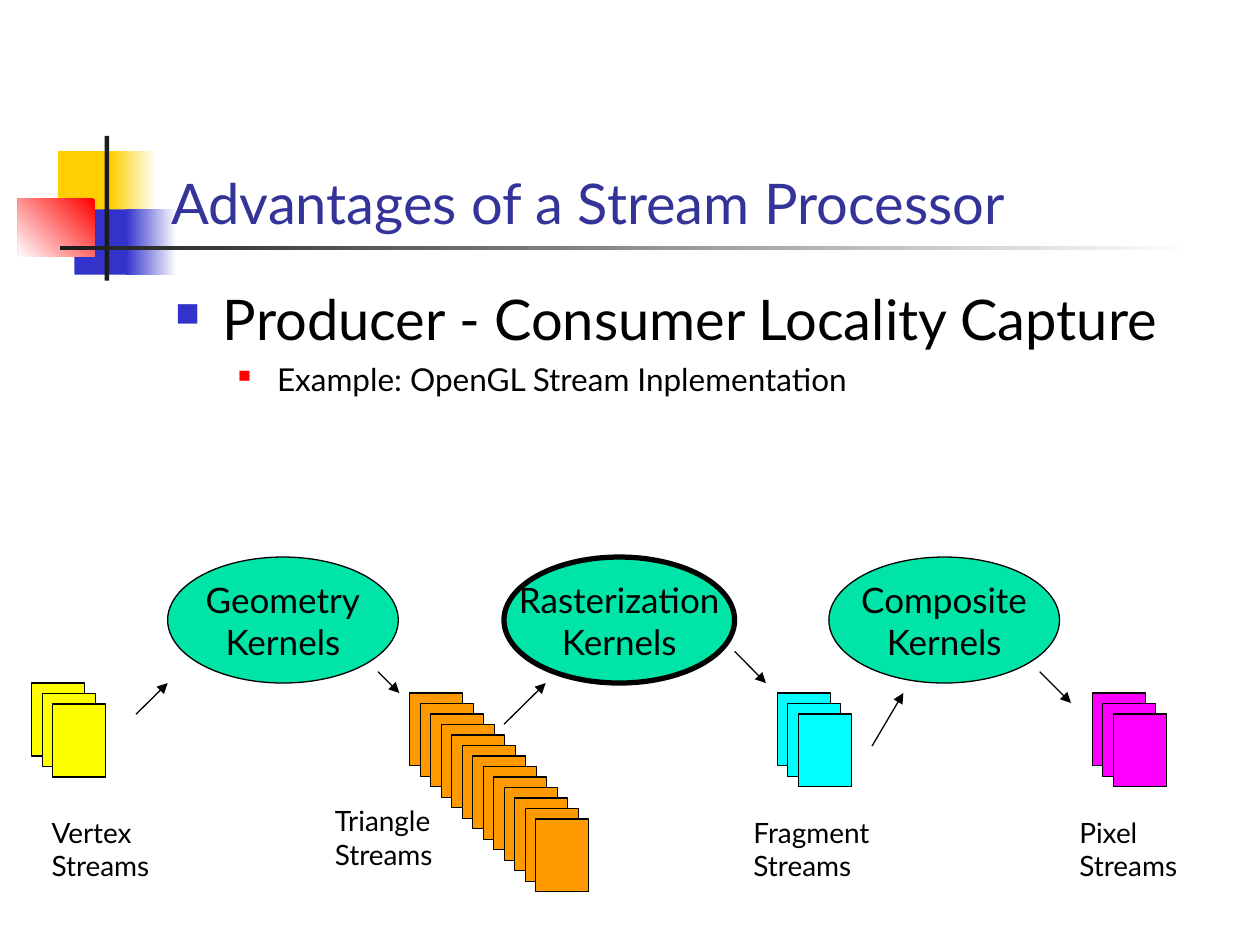
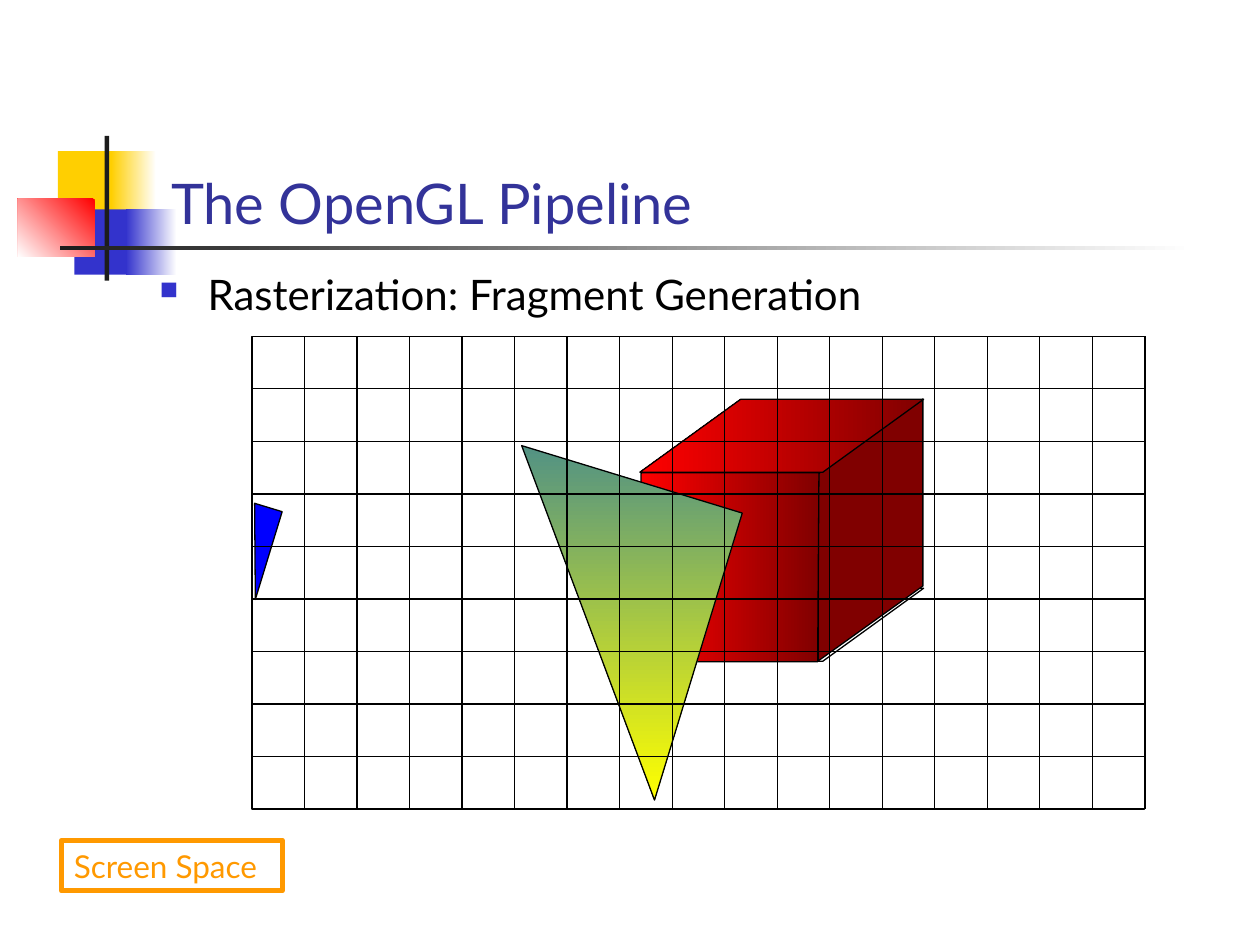
from lxml import etree
from pptx import Presentation
from pptx.dml.color import RGBColor
from pptx.enum import shapes, text
from pptx.oxml.ns import qn
from pptx.util import Cm, Pt

BLACK, ORANGE, GREEN = "000000", "FF9900", "00E4A8"
YELLOW, BLUE, DARK = "FFCF01", "3333CC", "1C1C1C"
DARK_RED, RED = "800000", "FF0000"
KIND = shapes.MSO_SHAPE


def rgb(value):
    return RGBColor.from_string(value)


class Deck:
    font = "Lato"
    title_color = "333399"
    bullets = [(BLUE, 60, 0.38, -0.38), (RED, 55, 0.81, -0.31)]
    bands = [
        (1.17, 3.05, 1.22, 1.32, YELLOW),
        (2.24, 3.05, 0.91, 1.32, ("FFFFFF", YELLOW, 180)),
        (1.5, 4.22, 1.17, 1.32, BLUE),
        (2.54, 4.22, 1.02, 1.32, ("FFFFFF", BLUE, 180)),
        (0.36, 4.01, 1.55, 1.17, (RED, "FFFFFF", 135)),
        (2.11, 2.74, 0.09, 2.92, DARK),
        (1.22, 4.95, 22.86, 0.09, ("FFFFFF", DARK, 180)),
    ]

    def __init__(self):
        self.prs = Presentation()
        self.prs.slide_width, self.prs.slide_height = Cm(25.4), Cm(19.05)

    def slide(self, title):
        self.s = self.prs.slides.add_slide(self.prs.slide_layouts[6])
        for x, y, w, h, fill in self.bands:
            self.shape(KIND.RECTANGLE, x, y, w, h, fill, line=None)
        tf = self.text(3.2, 1.7, 21.64, 3.18, title, 32, self.title_color, wrap=True)
        tf.vertical_anchor = text.MSO_ANCHOR.BOTTOM

    def shape(self, kind, x, y, w, h, fill=None, line=BLACK, width=0.75,
              adj=None, rot=0, flip=False):
        sp = self.s.shapes.add_shape(kind, Cm(x), Cm(y), Cm(w), Cm(h))
        sp.shadow.inherit = False
        sp.rotation = rot
        if adj is not None:
            sp.adjustments[0] = adj
        if flip:
            sp._element.spPr.find(qn("a:xfrm")).set("flipV", "1")
        self.fill(sp, fill)
        if line:
            sp.line.color.rgb = rgb(line)
            sp.line.width = Pt(width)
        else:
            sp.line.fill.background()
        return sp

    def fill(self, sp, fill):
        if fill is None:
            sp.fill.background()
        elif isinstance(fill, str):
            sp.fill.solid()
            sp.fill.fore_color.rgb = rgb(fill)
        else:
            start, end, angle = fill
            sp.fill.gradient()
            sp.fill.gradient_angle = 360 - angle
            for stop, color in zip(sp.fill.gradient_stops, (start, end)):
                stop.color.rgb = rgb(color)
            sp._element.spPr.find(qn("a:gradFill")).set("rotWithShape", "0")

    def style_text(self, tf, content, size, color=BLACK, align=text.PP_ALIGN.LEFT,
                   wrap=False):
        tf.text = content
        tf.word_wrap = wrap
        for p in tf.paragraphs:
            p.alignment = align
            for r in p.runs:
                r.font.name = self.font
                r.font.size = Pt(size)
                r.font.color.rgb = rgb(color)
        return tf

    def text(self, x, y, w, h, content, size, color=BLACK, wrap=False):
        tb = self.s.shapes.add_textbox(Cm(x), Cm(y), Cm(w), Cm(h))
        return self.style_text(tb.text_frame, content, size, color, wrap=wrap)

    def label(self, x, y, w, content):
        tf = self.text(x, y, w, 1.63, content, 16)
        tf.auto_size = text.MSO_AUTO_SIZE.SHAPE_TO_FIT_TEXT

    def body(self, x, y, items):
        content = "\n".join(item for item, size in items)
        tf = self.text(x, y, 21.59, 11.43, content, 18, wrap=True)
        for level, (p, (item, size)) in enumerate(zip(tf.paragraphs, items)):
            self.bullet(p, level)
            p.runs[0].font.size = Pt(size)
            if level:
                p.space_before = Pt(4.5)

    def bullet(self, p, level):
        color, percent, left, indent = self.bullets[level]
        p.level = level
        pPr = p._p.get_or_add_pPr()
        pPr.set("marL", str(int(Cm(left * 2.54))))
        pPr.set("indent", str(int(Cm(indent * 2.54))))
        clr = etree.SubElement(pPr, qn("a:buClr"))
        etree.SubElement(clr, qn("a:srgbClr"), val=color)
        etree.SubElement(pPr, qn("a:buSzPct"), val=str(percent * 1000))
        etree.SubElement(pPr, qn("a:buChar"), char="■")

    def line(self, x1, y1, x2, y2, arrow=False):
        c = self.s.shapes.add_connector(
            shapes.MSO_CONNECTOR.STRAIGHT, Cm(x1), Cm(y1), Cm(x2), Cm(y2))
        c.line.color.rgb = rgb(BLACK)
        c.line.width = Pt(0.75)
        spPr = c._element.spPr
        if arrow:
            etree.SubElement(spPr.find(qn("a:ln")), qn("a:tailEnd"), type="triangle")
        etree.SubElement(spPr, qn("a:effectLst"))

    def kernel(self, x, name, width=0.75):
        sp = self.shape(KIND.OVAL, x, 11.23, 4.65, 2.54, GREEN, width=width)
        self.style_text(sp.text_frame, name + "\nKernels", 20, align=text.PP_ALIGN.CENTER)

    def stack(self, x, y, color, count=3):
        step = 2.54 / 12
        for i in range(count):
            self.shape(KIND.RECTANGLE, x + i * step, y + i * step, 1.07, 1.47, color)

    def grid(self, x, y, w, h, cols, rows):
        for i in range(1, cols + 1):
            cx = x + i * w / cols
            self.line(cx, y, cx, y + h)
        for i in range(1, rows):
            cy = y + i * h / rows
            self.line(x, cy, x + w, cy)


def stream_processor(deck):
    deck.slide("Advantages of a Stream Processor")
    deck.body(3.28, 5.61, [("Producer - Consumer Locality Capture", 32),
                           ("Example: OpenGL Stream Inplementation", 18)])
    for x, y, w, name in [(0.79, 16.31, 2.67, "Vertex"), (6.5, 16.08, 2.82, "Triangle"),
                          (14.94, 16.31, 3.07, "Fragment"), (21.51, 16.31, 2.67, "Pixel")]:
        deck.label(x, y, w, name + "\nStreams")
    deck.kernel(3.38, "Geometry")
    deck.kernel(10.16, "Rasterization", width=3)
    deck.kernel(16.71, "Composite")
    deck.stack(0.64, 13.77, "FFFF00")
    deck.stack(8.26, 13.97, ORANGE, count=13)
    deck.stack(15.67, 13.97, "00FFFF")
    deck.stack(22.02, 13.97, "FF00FF")
    for ends in [(2.74, 14.4, 3.38, 13.77), (7.62, 13.54, 8.05, 13.97),
                 (10.16, 14.6, 11, 13.77), (14.81, 13.13, 15.44, 13.77),
                 (17.58, 15.04, 18.21, 13.97), (20.96, 13.54, 21.59, 14.17)]:
        deck.line(*ends, arrow=True)


def opengl_pipeline(deck):
    deck.slide("The OpenGL Pipeline")
    deck.body(2.97, 5.28, [("Rasterization: Fragment Generation", 24)])
    sp = deck.shape(KIND.RECTANGLE, 1.24, 16.94, 4.45, 1.02, line=ORANGE, width=3)
    deck.style_text(sp.text_frame, "Screen Space", 18, ORANGE)
    red_fade = (DARK_RED, RED, 180)
    frame = (5.08, 6.78, 18, 9.53)
    deck.shape(KIND.PARALLELOGRAM, 12.9, 11.86, 5.72, 1.47, adj=1.382)
    deck.shape(KIND.RIGHT_TRIANGLE, 4.85, 10.19, 0.58, 1.85, "0000FF", rot=197)
    deck.shape(KIND.RECTANGLE, *frame)
    deck.shape(KIND.PARALLELOGRAM, 14.91, 9.63, 5.28, 2.11, DARK_RED,
               adj=0.716, rot=90, flip=True)
    deck.shape(KIND.PARALLELOGRAM, 12.9, 9.53, 3.61, 3.81, red_fade, adj=0.007)
    deck.shape(KIND.PARALLELOGRAM, 12.9, 8.05, 5.72, 1.47, red_fade, adj=1.382)
    deck.shape(KIND.RIGHT_TRIANGLE, 9.53, 9.53, 4.65, 6.05,
               ("529284", "FFFF00", 90), rot=197)
    deck.grid(*frame, cols=17, rows=9)


def main():
    deck = Deck()
    stream_processor(deck)
    opengl_pipeline(deck)
    deck.prs.save("out.pptx")


if __name__ == "__main__":
    main()
